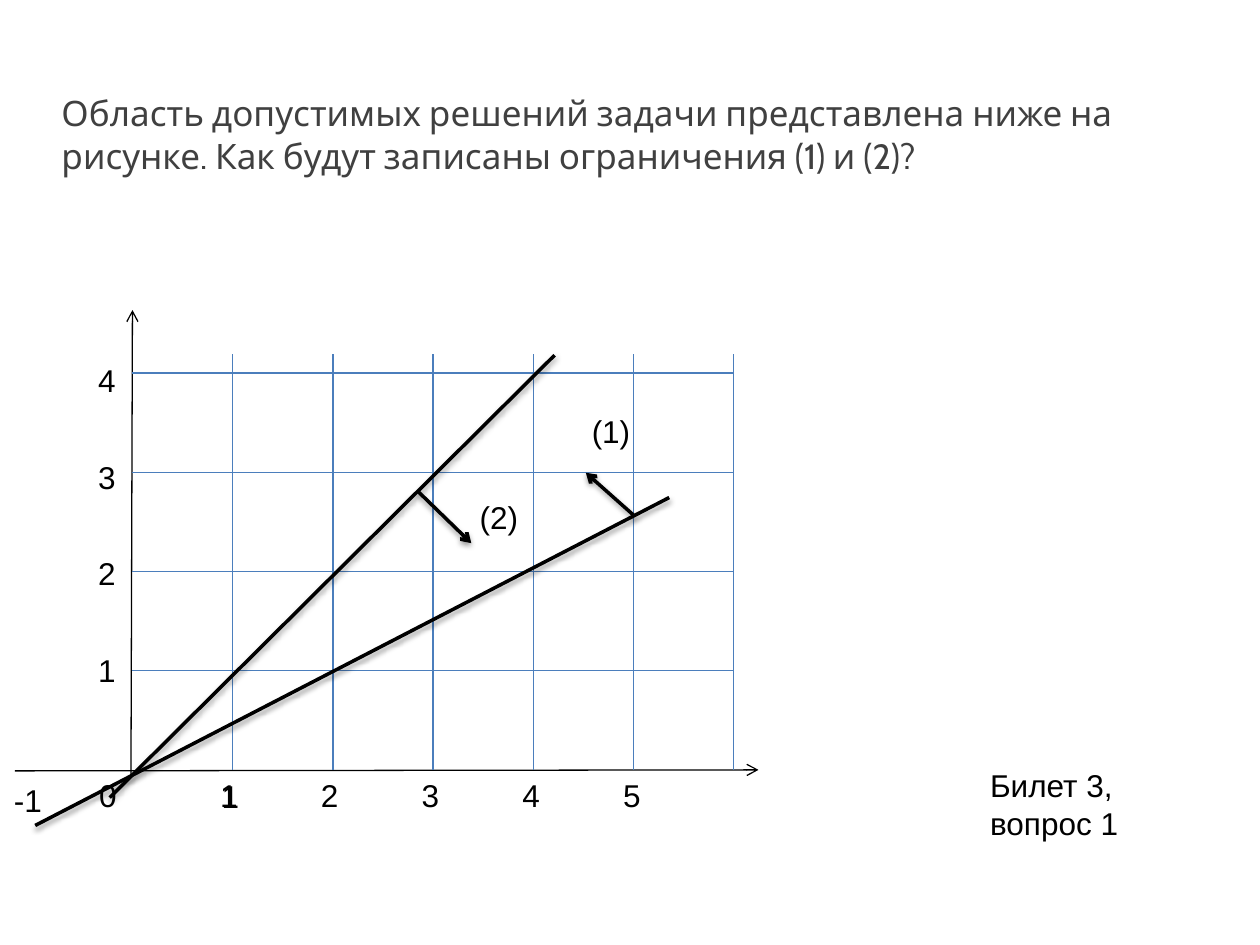
from dataclasses import dataclass

from lxml.etree import SubElement
from pptx import Presentation
from pptx.dml.color import RGBColor
from pptx.enum.shapes import MSO_CONNECTOR
from pptx.enum.text import MSO_AUTO_SIZE
from pptx.oxml.ns import qn
from pptx.util import Cm, Pt


@dataclass(frozen=True)
class Theme:
    """Colours, fonts, type sizes and line widths of the slide."""

    ink: str = "000000"
    heading: str = "404040"
    grid: str = "4B7EBC"
    heading_font: str = "Cabin"
    body_font: str = "Arial"
    heading_size: float = 20
    body_size: float = 18
    thin: float = 0.75
    thick: float = 2


THEME = Theme()


def add_text(slide, text, left, top, width, height, font=THEME.body_font,
             size=THEME.body_size, color=THEME.ink):
    """Add a wrapped text box measured in centimetres."""
    box = slide.shapes.add_textbox(Cm(left), Cm(top), Cm(width), Cm(height))
    frame = box.text_frame
    frame.text = text
    frame.word_wrap = True
    frame.auto_size = MSO_AUTO_SIZE.SHAPE_TO_FIT_TEXT
    run_font = frame.paragraphs[0].runs[0].font
    run_font.name = font
    run_font.size = Pt(size)
    run_font.color.rgb = RGBColor.from_string(color)


def add_line(slide, start, end, color=THEME.ink, width=THEME.thin,
             arrow=False, shadow=False):
    """Draw a straight line with an optional arrowhead and soft shadow."""
    line = slide.shapes.add_connector(
        MSO_CONNECTOR.STRAIGHT, *(Cm(value) for value in (*start, *end)))
    line.line.color.rgb = RGBColor.from_string(color)
    line.line.width = Pt(width)
    if arrow:
        SubElement(line.line._get_or_add_ln(), qn("a:tailEnd"), type="arrow")
    effects = SubElement(line._element.spPr, qn("a:effectLst"))
    if shadow:
        outer = SubElement(effects, qn("a:outerShdw"), blurRad="40000",
                           dist="20000", dir="5400000", rotWithShape="0")
        shade = SubElement(outer, qn("a:srgbClr"), val=THEME.ink)
        SubElement(shade, qn("a:alpha"), val="38000")


def add_heading(slide, left, top, width, height):
    """Place the question in its box."""
    add_text(slide, "Область допустимых решений задачи представлена ниже на "
             "рисунке. Как будут записаны ограничения (1) и (2)?",
             left, top, width, height, THEME.heading_font,
             THEME.heading_size, THEME.heading)


def add_plot(slide, left, top, width, height):
    """Draw axes, grid, tick labels and both constraints in the given box."""
    origin_x, origin_y = 2.37, height
    step_x, step_y = 2.02, 2
    columns, rows = 6, 4
    grid_right, grid_top = origin_x + columns * step_x, 0.89

    def line(start, end, **style):
        add_line(slide, (left + start[0], top + start[1]),
                 (left + end[0], top + end[1]), **style)

    def label(text, x, y, label_width=0.94):
        add_text(slide, text, left + x, top + y, label_width, 1.02)

    line((origin_x - 0.03, origin_y + 0.1), (origin_x, 0), arrow=True)
    line((0, origin_y + 0.02), (width, origin_y), arrow=True)
    for row in range(1, rows + 1):
        y = origin_y - row * step_y
        line((origin_x, y), (grid_right, y), color=THEME.grid)
        label(str(row), 1.43, 6.75 - 1.95 * (row - 1))
    for column in range(1, columns + 1):
        x = origin_x + column * step_x
        line((x, grid_top), (x, origin_y), color=THEME.grid)
    for column in range(1, columns):
        label(str(column), 3.89 + 2.03 * (column - 1), origin_y)
    label("0", 1.45, origin_y)
    label("1", 3.92, origin_y + 0.02)
    label("-1", -0.27, origin_y + 0.1, 1.35)

    constraints = [
        ("(1)", (13.19, 3.78), (0.41, 10.39), (12.5, 4.16), (11.51, 3.28), (11.38, 1.93)),
        ("(2)", (1.91, 9.83), (10.88, 0.91), (8.13, 3.66), (9.2, 4.7), (9.12, 3.66)),
    ]
    for name, start, end, arrow_start, arrow_end, label_at in constraints:
        line(start, end, width=THEME.thick, shadow=True)
        line(arrow_start, arrow_end, width=THEME.thick, arrow=True, shadow=True)
        label(name, *label_at, 1.6)


def add_ticket_note(slide, left, top, width, height):
    """Place the ticket and question number."""
    add_text(slide, "Билет 3, вопрос 1", left, top, width, height)


def main():
    """Build and save the slide."""
    presentation = Presentation()
    presentation.slide_width, presentation.slide_height = Cm(25.4), Cm(19.05)
    slide = presentation.slides.add_slide(presentation.slide_layouts[6])
    add_heading(slide, 0.99, 1.73, 23.01, 1.96)
    add_plot(slide, 0.3, 6.25, 14.99, 9.27)
    add_ticket_note(slide, 19.71, 15.32, 3.81, 1.8)
    presentation.save("out.pptx")


if __name__ == "__main__":
    main()
